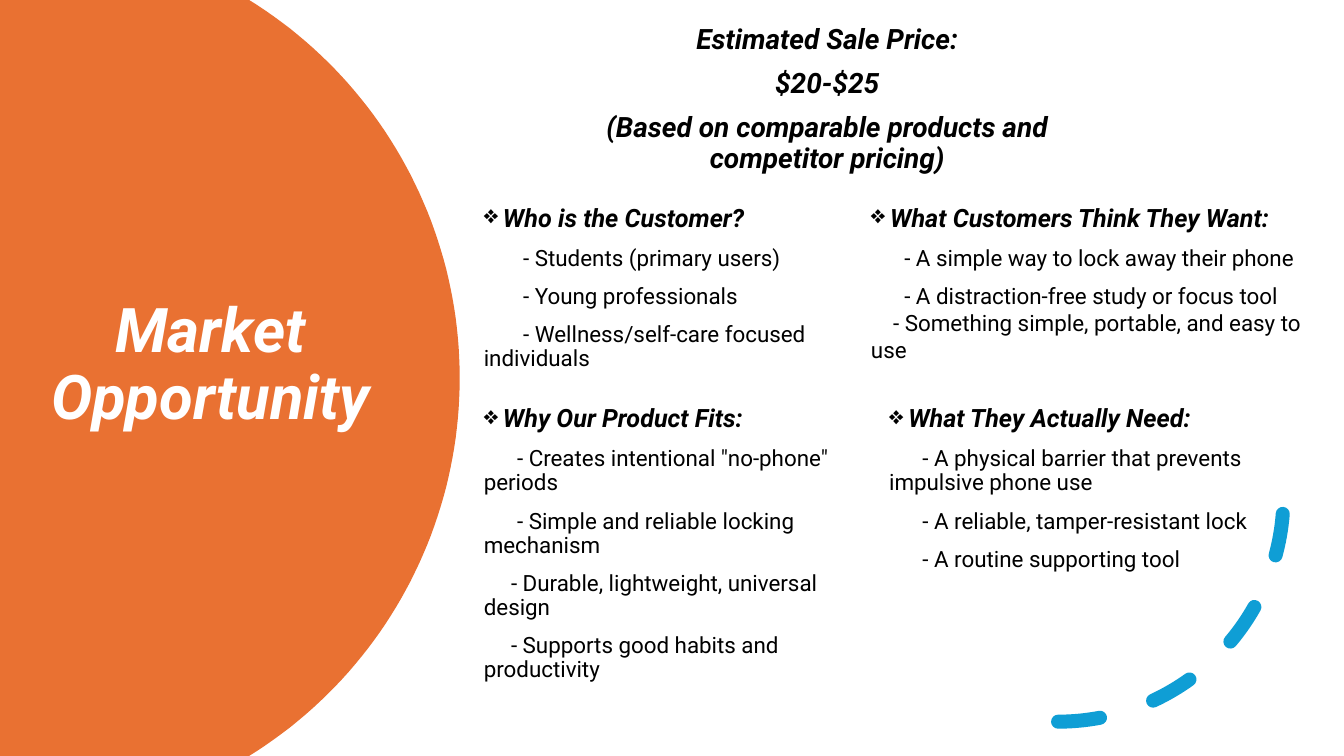
"""Build the Market Opportunity slide."""
from math import asin, cos, sin

from lxml.etree import SubElement
from pptx import Presentation
from pptx.dml.color import RGBColor
from pptx.enum.dml import MSO_LINE
from pptx.enum.shapes import MSO_SHAPE
from pptx.enum.text import MSO_ANCHOR, MSO_AUTO_SIZE, PP_ALIGN
from pptx.oxml.ns import qn
from pptx.util import Inches, Pt

ORANGE = RGBColor(0xE9, 0x71, 0x32)
BLUE = RGBColor(0x0F, 0x9E, 0xD5)
BLACK = RGBColor(0, 0, 0)
WHITE = RGBColor(255, 255, 255)
FONT = "Roboto"
WIDTH, HEIGHT = 13.33, 7.5
LEFT_COLUMN, TOP_ROW, LOWER_ROW = 4.7, 1.99, 3.98

TITLE = "Market Opportunity"
PRICE = [
    "Estimated Sale Price:",
    "$20-$25",
    "(Based on comparable products and competitor pricing)",
]
SECTIONS = [
    ((LEFT_COLUMN, TOP_ROW, 4.12, 1.77), "Who is the Customer?", [
        (0.39, "- Students (primary users)"),
        (0.39, "- Young professionals"),
        (0.39, "- Wellness/self-care focused individuals"),
    ]),
    ((8.54, TOP_ROW, 4.79, 1.41), "What Customers Think They Want:", [
        (0.33, "- A simple way to lock away their phone"),
        (0.33, "- A distraction-free study or focus tool"),
        (0.22, "- Something simple, portable, and easy to use"),
    ]),
    ((8.72, LOWER_ROW, 4.65, 1.77), "What They Actually Need:", [
        (0.33, "- A physical barrier that prevents impulsive phone use"),
        (0.33, "- A reliable, tamper-resistant lock"),
        (0.33, "- A routine supporting tool"),
    ]),
    ((LEFT_COLUMN, LOWER_ROW, 4.02, 2.87), "Why Our Product Fits:", [
        (0.33, "- Creates intentional \"no-phone\" periods"),
        (0.33, "- Simple and reliable locking mechanism"),
        (0.27, "- Durable, lightweight, universal design"),
        (0.27, "- Supports good habits and productivity"),
    ]),
]


def place(shape, area):
    shape.left, shape.top, shape.width, shape.height = map(Inches, area)


def style(para, size, color=BLACK, strong=True):
    para.line_spacing = 0.9
    font = para.font
    font.name, font.size = FONT, Pt(size)
    font.bold = font.italic = strong
    font.color.rgb = color


def add_paragraphs(slide, area, texts):
    box = slide.shapes.add_textbox(*map(Inches, area))
    frame = box.text_frame
    frame.word_wrap = True
    frame.auto_size = MSO_AUTO_SIZE.SHAPE_TO_FIT_TEXT
    frame.text = "\n".join(texts)
    for para in frame.paragraphs[1:]:
        para.space_before = Pt(10)
    return frame.paragraphs


def indent(para, margin, first_line):
    properties = para._p.get_or_add_pPr()
    properties.set("marL", str(Inches(margin)))
    properties.set("indent", str(Inches(first_line)))
    return properties


def add_section(slide, area, heading, items):
    head, *lines = add_paragraphs(slide, area, [heading] + [text for _, text in items])
    SubElement(indent(head, 0.19, -0.19), qn("a:buChar")).set("char", "❖")
    style(head, 18)
    for para, (first_line, text) in zip(lines, items):
        indent(para, 0, first_line)
        style(para, 16, strong=False)
        if text.startswith("- Something"):
            para.space_before, para.line_spacing = Pt(0), 1.0


def add_disc(slide, radius=4.41, center=0.15, steps=90):
    middle = HEIGHT / 2
    reach = asin(middle / radius)
    angles = [reach * (2 * step / steps - 1) for step in range(steps + 1)]
    rim = [(center + radius * cos(a), middle + radius * sin(a)) for a in angles]
    builder = slide.shapes.build_freeform(0, 0, scale=Inches(1) / 1000)
    points = [(round(x * 1000), round(y * 1000)) for x, y in rim]
    builder.add_line_segments(points + [(0, HEIGHT * 1000)], close=True)
    disc = builder.convert_to_shape()
    disc.shadow.inherit = False
    disc.fill.solid()
    disc.fill.fore_color.rgb = ORANGE
    disc.line.fill.background()
    slide.shapes._spTree.insert(2, disc._element)


def add_dashed_arc(slide):
    arc = slide.shapes.add_shape(MSO_SHAPE.ARC, *map(Inches, (8.26, 2.69, 4.47, 4.47)))
    arc.shadow.inherit = False
    arc.fill.background()
    arc.line.color.rgb = BLUE
    arc.line.width = Pt(10)
    arc.line.dash_style = MSO_LINE.DASH
    arc.line._get_or_add_ln().set("cap", "rnd")
    arc._element.spPr.find(qn("a:xfrm")).set("flipV", "1")


def main():
    deck = Presentation()
    deck.slide_width, deck.slide_height = Inches(WIDTH), Inches(HEIGHT)
    slide = deck.slides.add_slide(deck.slide_layouts[5])
    add_disc(slide)

    title = slide.shapes.title
    place(title, (0.18, 1.19, 3.82, 4.88))
    title.text_frame.text = TITLE
    title.text_frame.vertical_anchor = MSO_ANCHOR.MIDDLE
    heading = title.text_frame.paragraphs[0]
    heading.alignment = PP_ALIGN.CENTER
    style(heading, 44, WHITE)

    add_dashed_arc(slide)
    for section in SECTIONS:
        add_section(slide, *section)
    for para in add_paragraphs(slide, (5.65, 0.2, 5.11, 1.6), PRICE):
        para.alignment = PP_ALIGN.CENTER
        style(para, 20)
    deck.save("out.pptx")


if __name__ == "__main__":
    main()
